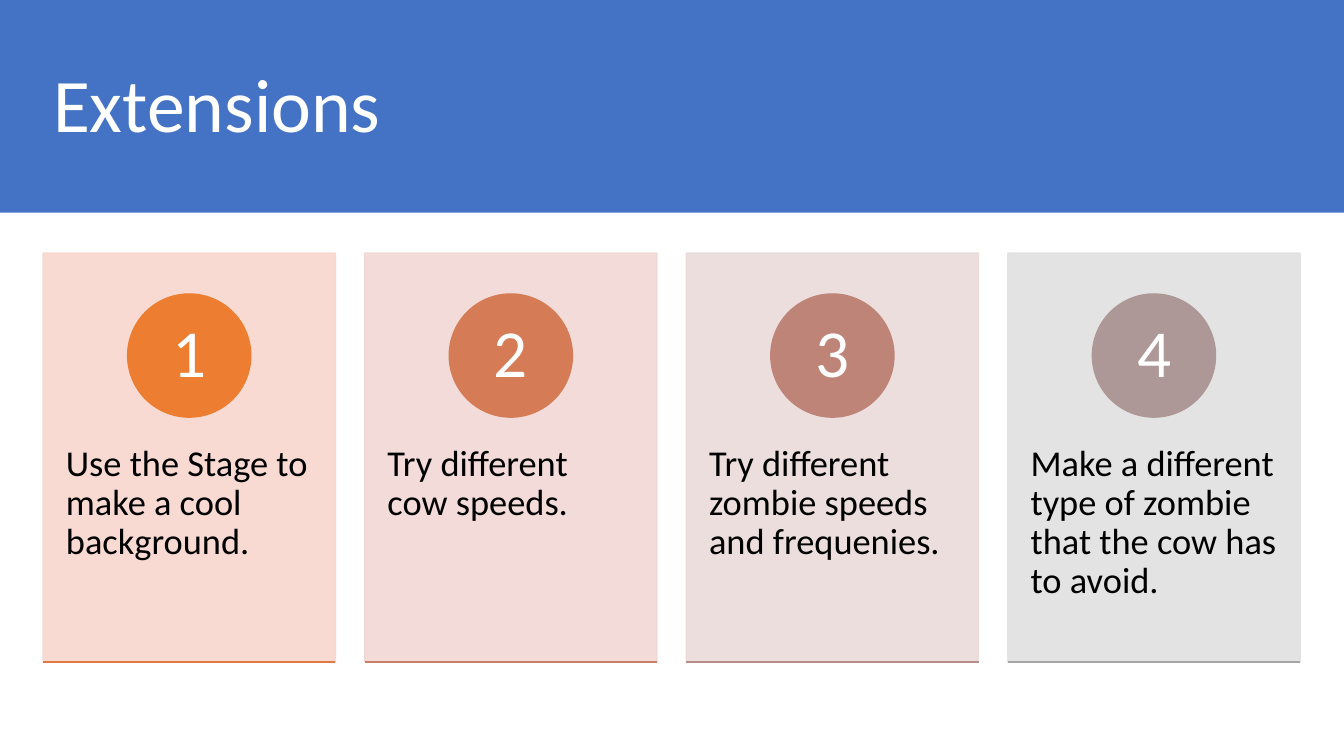
"""Build the Extensions slide: a title band above four numbered cards."""
from pptx import Presentation
from pptx import util as u
from pptx.dml.color import RGBColor
from pptx.enum import shapes, text
from pptx.oxml.ns import qn
from lxml import etree

TITLE = "Extensions"
CARDS = [
    ("Use the Stage to make a cool background.", "F8D7CE", "ED7D31", "E07A44"),
    ("Try different cow speeds.", "F1D8D4", "D57B56", "CA7E67"),
    ("Try different zombie speeds and frequenies.", "E9DBDA", "BF8478", "B68D88"),
    ("Make a different type of zombie that the cow has to avoid.", "E1E1E1", "AD9897", "A5A5A5"),
]
COLORS = {"band": "4472C4", "light": "FFFFFF", "dark": "000000"}
WIDE, HIGH = 960, 540
LEFT, TOP, PITCH = 30.8, 180.8, 229.7
CARD_W, CARD_H = 208.8, 292
DOT, DOT_TOP, NUM = 88, 210, 62
KIND = shapes.MSO_SHAPE
ALIGN, ANCHOR = text.PP_ALIGN, text.MSO_ANCHOR

deck = Presentation()
deck.slide_width, deck.slide_height = u.Pt(WIDE), u.Pt(HIGH)
slide = deck.slides.add_slide(deck.slide_layouts[6])


def rgb(hue):
    return RGBColor.from_string(hue)


def put(item, values):
    for name, value in values.items():
        setattr(item, name, value)


def fade(fill, alpha):
    for hue in fill.iter(qn("a:srgbClr")):
        etree.SubElement(hue, qn("a:alpha"), val=str(alpha * 1000))


def block(kind, box, hue, edge=True, alpha=100):
    shape = slide.shapes.add_shape(kind, *map(u.Pt, box))
    shape.shadow.inherit = False
    shape.fill.solid()
    shape.fill.fore_color.rgb = rgb(hue)
    if edge:
        shape.line.color.rgb = rgb(hue)
        shape.line.width = u.Pt(1)
    else:
        shape.line.fill.background()
    if alpha < 100:
        fade(shape.element.spPr, alpha)


def write(words, box, size, hue, pad, align=ALIGN.LEFT, anchor=ANCHOR.MIDDLE):
    frame = slide.shapes.add_textbox(*map(u.Pt, box)).text_frame
    side, edge = map(u.Pt, pad)
    put(frame, {"word_wrap": True, "vertical_anchor": anchor,
                "margin_left": side, "margin_right": side,
                "margin_top": edge, "margin_bottom": edge})
    para = frame.paragraphs[0]
    put(para, {"text": words, "alignment": align, "line_spacing": 0.9})
    put(para.font, {"name": "Calibri", "size": u.Pt(size)})
    para.font.color.rgb = rgb(hue)


def rule(left, top, width, hue):
    line = slide.shapes.add_connector(
        shapes.MSO_CONNECTOR.STRAIGHT, *map(u.Pt, (left, top, left + width, top)))
    line.line.color.rgb = rgb(hue)
    line.line.width = u.Pt(1)
    etree.SubElement(line.element.spPr, qn("a:effectLst"))


block(KIND.RECTANGLE, (0, -0.5, WIDE, 152.5), COLORS["band"], edge=False)
write(TITLE, (LEFT, 25.2, 898.6, 104.4), 54, COLORS["light"], (7.2, 3.6))

for i, (words, pale, strong, base) in enumerate(CARDS):
    left = LEFT + i * PITCH
    mid = left + CARD_W / 2
    block(KIND.RECTANGLE, (left, TOP, CARD_W, CARD_H), pale, alpha=90)
    write(words, (left, 291.6, CARD_W, 175.7), 26, COLORS["dark"], (16.3, 26),
          anchor=ANCHOR.TOP)
    block(KIND.OVAL, (mid - DOT / 2, DOT_TOP, DOT, DOT), strong)
    write(str(i + 1), (mid - NUM / 2, DOT_TOP + (DOT - NUM) / 2, NUM, NUM), 48,
          COLORS["light"], (6.5, 0.7), align=ALIGN.CENTER)
    rule(left, TOP + CARD_H, CARD_W, base)

deck.save("out.pptx")
